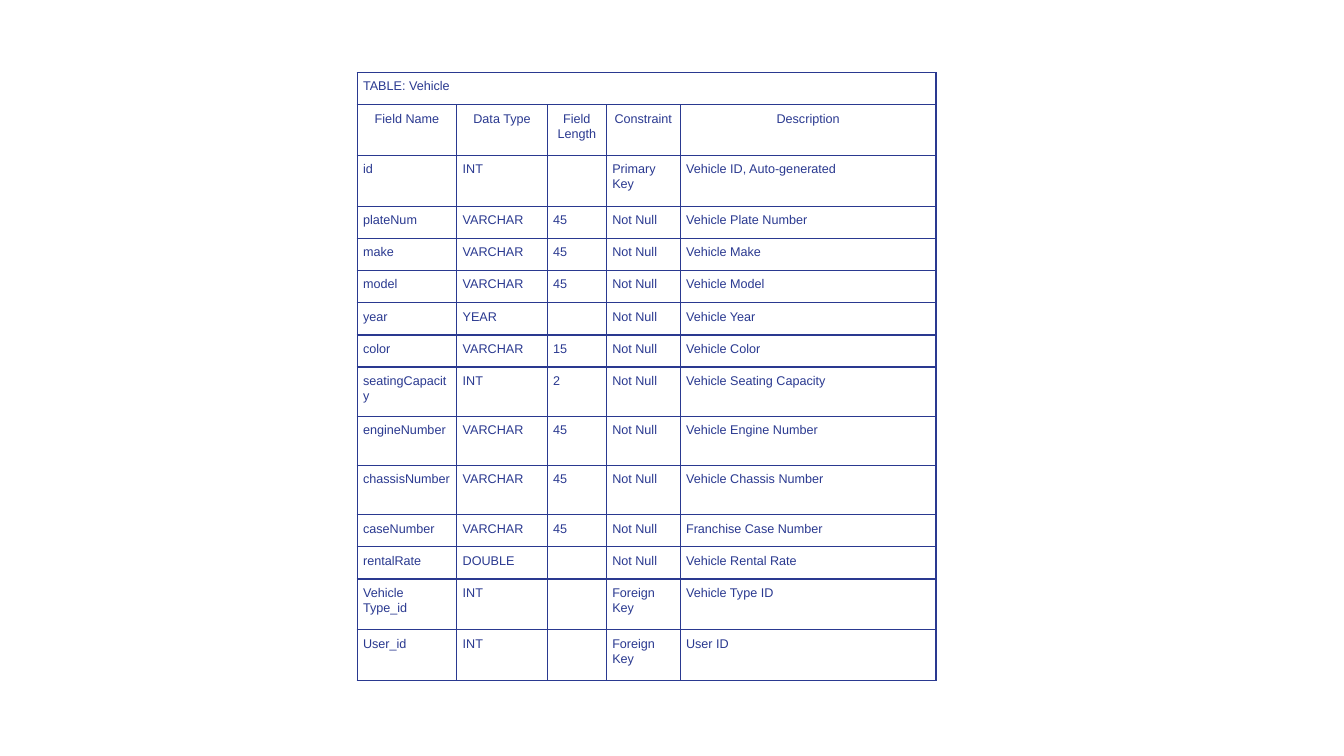
from dataclasses import dataclass

import pptx
import pptx.dml.color
import pptx.enum.text
import pptx.oxml.ns
import pptx.util
from lxml import etree
from pptx.util import Cm


@dataclass(frozen=True)
class Theme:
    ink: str = "2A3990"
    paper: str = "FFFFFF"
    font: str = "Arial"
    text_size: int = 9
    border_width: int = 1
    line_spacing: float = 1.07
    cell_margin: float = 0.15


THEME = Theme()

# Column widths and row heights in centimetres
COLUMN_WIDTHS = (2.51, 2.28, 1.49, 1.86, 6.45)
SHORT, MEDIUM, TALL = 0.81, 1.24, 1.28

TITLE = "TABLE: Vehicle"
HEADINGS = ("Field Name", "Data Type", "Field Length", "Constraint", "Description")
FIELDS = (
    (TALL, "id", "INT", "", "Primary Key", "Vehicle ID, Auto-generated"),
    (SHORT, "plateNum", "VARCHAR", "45", "Not Null", "Vehicle Plate Number"),
    (SHORT, "make", "VARCHAR", "45", "Not Null", "Vehicle Make"),
    (SHORT, "model", "VARCHAR", "45", "Not Null", "Vehicle Model"),
    (SHORT, "year", "YEAR", "", "Not Null", "Vehicle Year"),
    (SHORT, "color", "VARCHAR", "15", "Not Null", "Vehicle Color"),
    (MEDIUM, "seatingCapacity", "INT", "2", "Not Null", "Vehicle Seating Capacity"),
    (MEDIUM, "engineNumber", "VARCHAR", "45", "Not Null", "Vehicle Engine Number"),
    (MEDIUM, "chassisNumber", "VARCHAR", "45", "Not Null", "Vehicle Chassis Number"),
    (SHORT, "caseNumber", "VARCHAR", "45", "Not Null", "Franchise Case Number"),
    (SHORT, "rentalRate", "DOUBLE", "", "Not Null", "Vehicle Rental Rate"),
    (TALL, "Vehicle Type_id", "INT", "", "Foreign Key", "Vehicle Type ID"),
    (TALL, "User_id", "INT", "", "Foreign Key", "User ID"),
)


def add_borders(cell):
    """Draw a solid line on all four sides of a cell."""
    qn = pptx.oxml.ns.qn
    properties = cell._tc.get_or_add_tcPr()
    width = str(pptx.util.Pt(THEME.border_width))
    for side in ("a:lnL", "a:lnR", "a:lnT", "a:lnB"):
        line = etree.SubElement(properties, qn(side), w=width)
        fill = etree.SubElement(line, qn("a:solidFill"))
        etree.SubElement(fill, qn("a:srgbClr"), val=THEME.ink)


def format_cell(cell):
    add_borders(cell)
    cell.fill.solid()
    cell.fill.fore_color.rgb = pptx.dml.color.RGBColor.from_string(THEME.paper)
    margin = Cm(THEME.cell_margin)
    cell.margin_left = cell.margin_right = margin
    cell.margin_top = cell.margin_bottom = margin


def write_cell(cell, text, alignment):
    paragraph = cell.text_frame.paragraphs[0]
    paragraph.alignment = alignment
    paragraph.line_spacing = THEME.line_spacing
    if text:
        run = paragraph.add_run()
        run.text = text
        run.font.name = THEME.font
        run.font.size = pptx.util.Pt(THEME.text_size)
        run.font.color.rgb = pptx.dml.color.RGBColor.from_string(THEME.ink)
    else:
        # Keep empty cells from stretching their row
        etree.SubElement(paragraph._p, pptx.oxml.ns.qn("a:endParaRPr"),
                         sz=str(THEME.text_size * 100))


def add_field_table(slide, left, top, width, height):
    """Place the field table in the box, scaled to its width and height."""
    rows = ((SHORT, TITLE), (TALL, *HEADINGS), *FIELDS)
    frame = slide.shapes.add_table(len(rows), len(COLUMN_WIDTHS), left, top, width, height)
    table = frame.table
    table.first_row = False
    table.horz_banding = False

    # Grid
    for column, share in zip(table.columns, COLUMN_WIDTHS):
        column.width = round(width * share / sum(COLUMN_WIDTHS))
    total_height = sum(row[0] for row in rows)
    for row, (share, *_) in zip(table.rows, rows):
        row.height = round(height * share / total_height)
    for cell in table.iter_cells():
        format_cell(cell)
    table.cell(0, 0).merge(table.cell(0, len(COLUMN_WIDTHS) - 1))

    # Text
    align = pptx.enum.text.PP_ALIGN
    for row_index, (_, *texts) in enumerate(rows):
        alignment = align.CENTER if row_index == 1 else align.LEFT
        for column_index, text in enumerate(texts):
            write_cell(table.cell(row_index, column_index), text, alignment)


def main():
    presentation = pptx.Presentation()
    presentation.slide_width = Cm(33.87)
    presentation.slide_height = Cm(19.05)
    blank_layout = presentation.slide_layouts[6]
    slide = presentation.slides.add_slide(blank_layout)
    add_field_table(slide, Cm(9), Cm(1.83), Cm(14.59), Cm(15.32))
    presentation.save("out.pptx")


if __name__ == "__main__":
    main()
